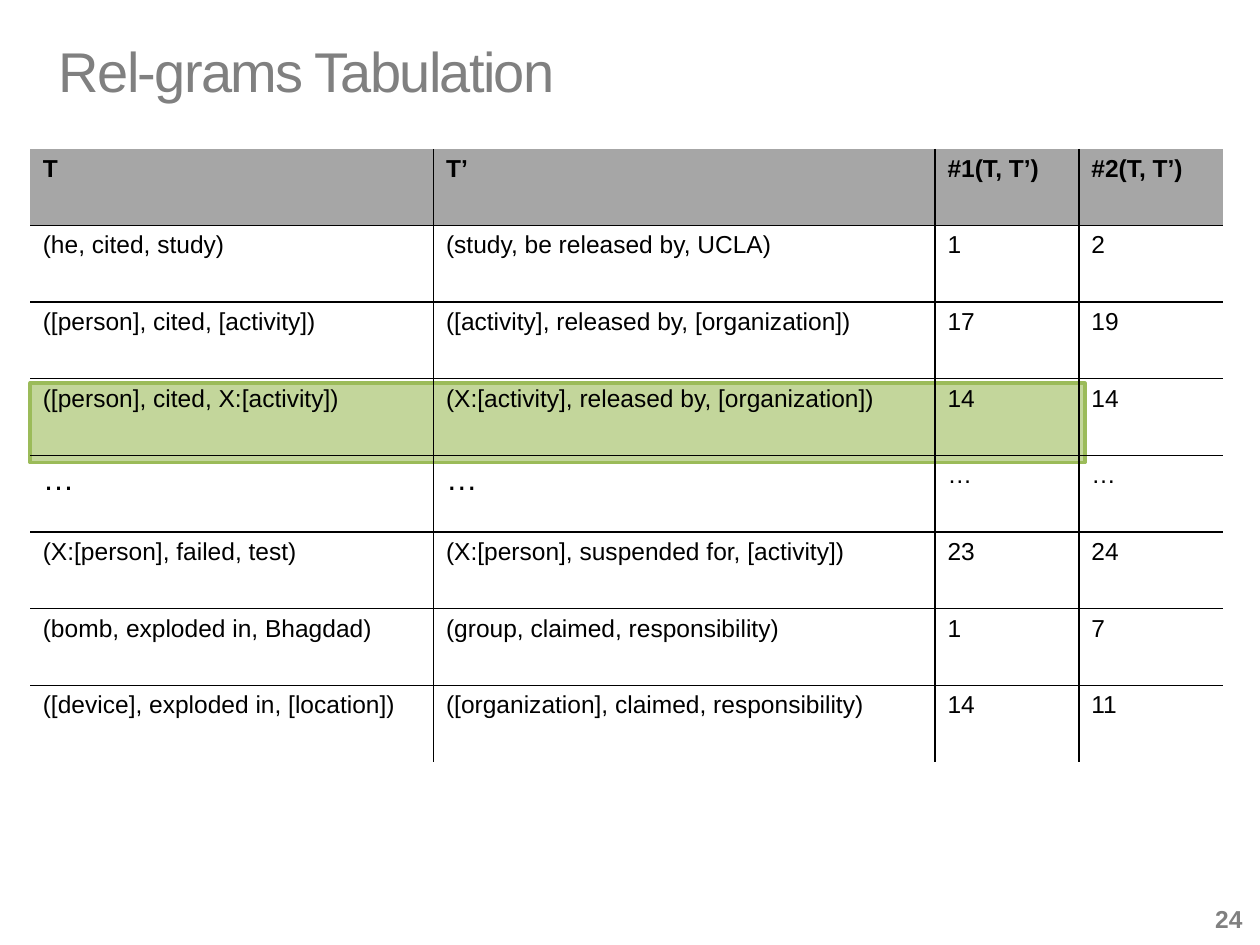
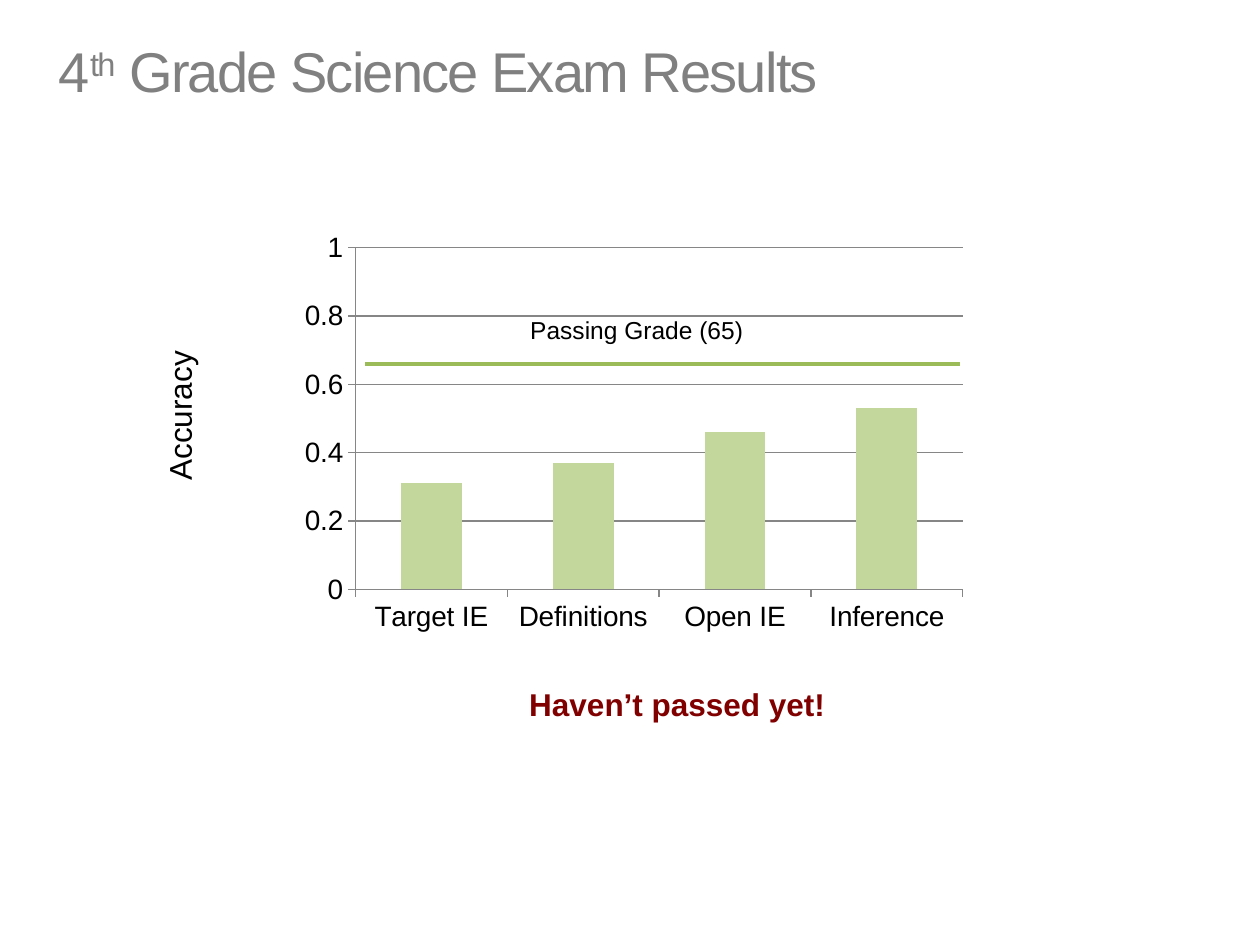
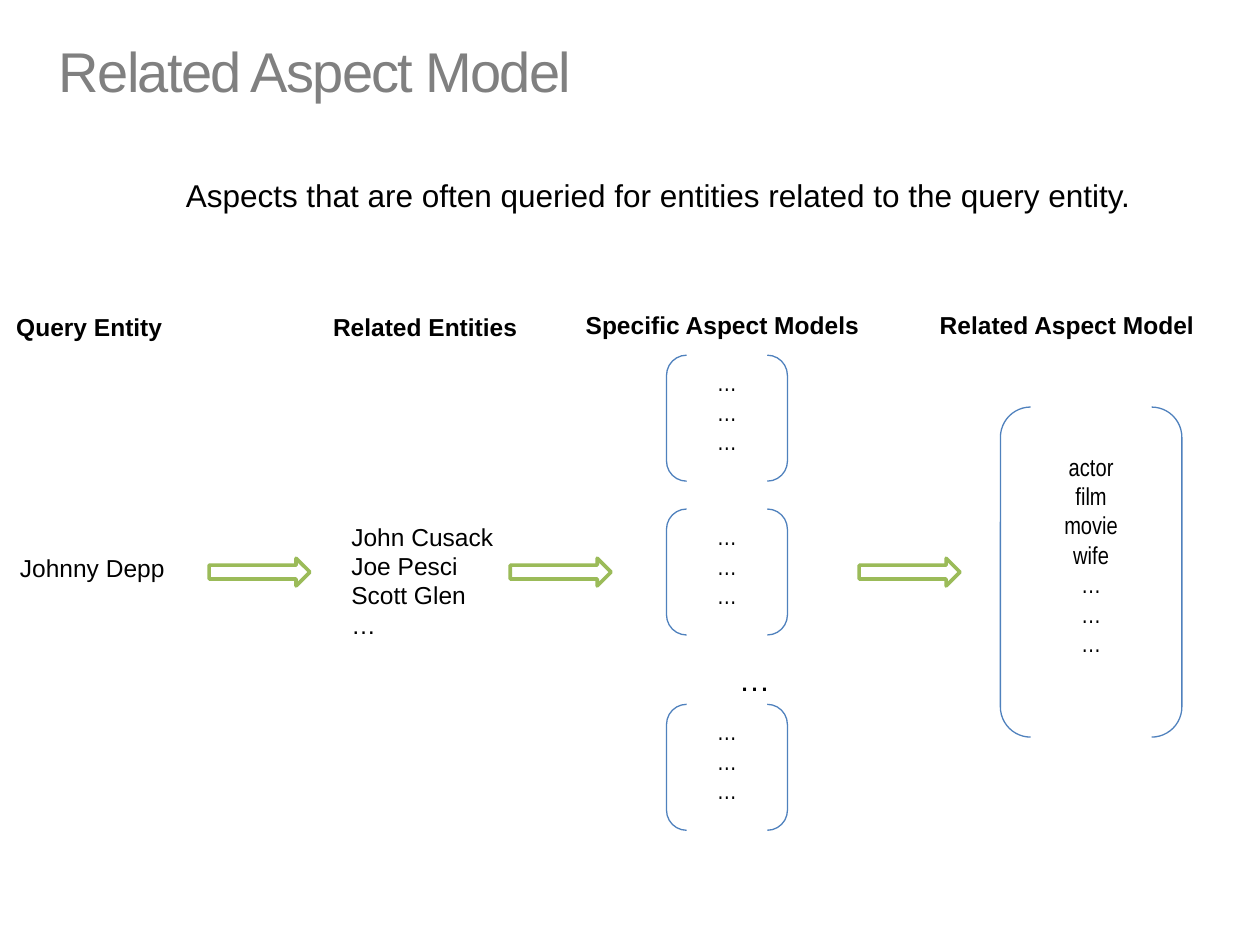
from dataclasses import dataclass

from lxml import etree
from pptx import Presentation
from pptx import util as u
from pptx.chart import data as chart_data
from pptx.dml.color import RGBColor
from pptx.enum import chart as charts
from pptx.enum import shapes, text
from pptx.oxml import ns

Pt = u.Pt


@dataclass(frozen=True)
class Theme:
    font: str = "Arial"
    narrow_font: str = "Arial Narrow"
    black: str = "000000"
    white: str = "FFFFFF"
    grey: str = "808080"
    axis_grey: str = "868686"
    header_grey: str = "A6A6A6"
    green: str = "9BBB59"
    light_green: str = "C3D69B"
    blue: str = "4F81BD"
    red: str = "800000"
    title_size: float = 32
    large: float = 18
    axis_size: float = 16
    body: float = 14
    thick: float = 2.08
    thin: float = 0.75
    cell_line: float = 1


THEME = Theme()
LEFT, CENTER, RIGHT = text.PP_ALIGN.LEFT, text.PP_ALIGN.CENTER, text.PP_ALIGN.RIGHT
NO_GRID_STYLE = "{2D5ABB26-0587-4C30-8999-92F81FD0307C}"

TABULATION = [
    ("T", "T’", "#1(T, T’)", "#2(T, T’)"),
    ("(he, cited, study)", "(study, be released by, UCLA)", "1", "2"),
    ("([person], cited, [activity])",
     "([activity], released by, [organization])", "17", "19"),
    ("([person], cited, X:[activity])",
     "(X:[activity], released by, [organization])", "14", "14"),
    ("…", "…", "…", "…"),
    ("(X:[person], failed, test)",
     "(X:[person], suspended for, [activity])", "23", "24"),
    ("(bomb, exploded in, Bhagdad)", "(group, claimed, responsibility)", "1", "7"),
    ("([device], exploded in, [location])",
     "([organization], claimed, responsibility)", "14", "11"),
]


def rgb(color):
    return RGBColor.from_string(color)


# Text
def style_font(font, size, color=THEME.black, bold=False, name=THEME.font):
    font.name, font.size, font.bold = name, Pt(size), bold
    font.color.rgb = rgb(color)


def style_text(text_frame, size, align=LEFT, **style):
    for paragraph in text_frame.paragraphs:
        paragraph.alignment = align
        for run in paragraph.runs:
            style_font(run.font, size, **style)


def add_text(slide, box, words, size=THEME.body, align=LEFT,
             anchor=text.MSO_ANCHOR.TOP, **style):
    shape = slide.shapes.add_textbox(*map(Pt, box))
    text_frame = shape.text_frame
    text_frame.word_wrap = True
    text_frame.vertical_anchor = anchor
    text_frame.text = words
    style_text(text_frame, size, align, **style)
    return shape


def add_title(slide, *parts):
    """Write the title; every second part is superscript."""
    shape = add_text(slide, (26.6, 1.4, 669.6, 77.8), "", anchor=text.MSO_ANCHOR.MIDDLE)
    paragraph = shape.text_frame.paragraphs[0]
    for index, part in enumerate(parts):
        run = paragraph.add_run()
        run.text = part
        style_font(run.font, THEME.title_size, THEME.grey)
        properties = run._r.get_or_add_rPr()
        properties.set("spc", "-100")
        if index % 2:
            properties.set("baseline", "30000")


# Shapes and lines
def add_shape(slide, kind, box, line, width, fill=None):
    shape = slide.shapes.add_shape(kind, *map(Pt, box))
    shape.shadow.inherit = False
    if fill:
        shape.fill.solid()
        shape.fill.fore_color.rgb = rgb(fill)
    else:
        shape.fill.background()
    shape.line.color.rgb = rgb(line)
    shape.line.width = Pt(width)
    return shape


def add_brackets(slide, box, lines, margin_top=3.6):
    shape = add_shape(slide, shapes.MSO_SHAPE.DOUBLE_BRACKET, box, THEME.blue, THEME.thin)
    text_frame = shape.text_frame
    text_frame.vertical_anchor = text.MSO_ANCHOR.TOP
    text_frame.margin_top = Pt(margin_top)
    text_frame.text = "\n".join(lines)
    style_text(text_frame, THEME.body, CENTER, name=THEME.narrow_font)


def add_line(slide, left, right, y):
    line = slide.shapes.add_connector(
        shapes.MSO_CONNECTOR.STRAIGHT, Pt(left), Pt(y), Pt(right), Pt(y))
    line.line.color.rgb = rgb(THEME.green)
    line.line.width = Pt(THEME.thick)
    etree.SubElement(line._element.spPr, ns.qn("a:effectLst"))


# Table
def set_borders(cell, sides):
    properties = cell._tc.get_or_add_tcPr()
    for position, side in enumerate(sides):
        border = etree.Element(ns.qn(f"a:ln{side}"), w=str(Pt(THEME.cell_line)))
        fill = etree.SubElement(border, ns.qn("a:solidFill"))
        etree.SubElement(fill, ns.qn("a:srgbClr"), val=THEME.black)
        properties.insert(position, border)


def add_grid_table(slide, left, top, widths, row_height, rows):
    """Add a table with inner rules only and a grey header row."""
    frame = slide.shapes.add_table(
        len(rows), len(widths), Pt(left), Pt(top), Pt(sum(widths)),
        Pt(row_height * len(rows)))
    table = frame.table
    table.first_row = table.horz_banding = False
    table._tbl.tblPr.find(ns.qn("a:tableStyleId")).text = NO_GRID_STYLE
    for column, width in zip(table.columns, widths):
        column.width = Pt(width)
    for row_index, values in enumerate(rows):
        table.rows[row_index].height = Pt(row_height)
        header = row_index == 0
        for column_index, value in enumerate(values):
            cell = table.cell(row_index, column_index)
            cell.text = value
            wide_dots = value == "…" and column_index < 2
            style_text(cell.text_frame, THEME.large if wide_dots else THEME.body,
                       bold=header)
            if header:
                cell.fill.solid()
                cell.fill.fore_color.rgb = rgb(THEME.header_grey)
            else:
                cell.fill.background()
            inner = {"L": column_index > 0, "R": column_index < len(widths) - 1,
                     "T": not header, "B": row_index < len(rows) - 1}
            set_borders(cell, [side for side, shown in inner.items() if shown])


# Chart
def add_column_chart(slide, box, scores):
    data = chart_data.CategoryChartData()
    data.categories = list(scores)
    data.add_series("Series 1", list(scores.values()))
    chart = slide.shapes.add_chart(
        charts.XL_CHART_TYPE.COLUMN_CLUSTERED, *map(Pt, box), data).chart
    chart.has_legend = chart.has_title = False
    style_font(chart.font, THEME.axis_size)

    plot = chart.plots[0]
    plot.gap_width = 150
    plot.vary_by_categories = False
    bars = plot.series[0].format.fill
    bars.solid()
    bars.fore_color.rgb = rgb(THEME.light_green)

    value_axis = chart.value_axis
    value_axis.minimum_scale, value_axis.maximum_scale = 0, 1
    value_axis.major_unit = 0.2
    value_axis.has_major_gridlines = True
    for axis in (chart.category_axis, value_axis):
        axis.major_tick_mark = charts.XL_TICK_MARK.OUTSIDE
        style_font(axis.tick_labels.font, THEME.axis_size)
    for ruled in (chart.category_axis, value_axis, value_axis.major_gridlines):
        ruled.format.line.color.rgb = rgb(THEME.axis_grey)
        ruled.format.line.width = Pt(THEME.thin)


# Slides
def build_tabulation(slide):
    add_shape(slide, shapes.MSO_SHAPE.RECTANGLE, (17.3, 218.9, 602.6, 45.4),
              THEME.green, THEME.thick, THEME.light_green)
    add_grid_table(slide, 17.3, 85, (230.4, 286.6, 82.2, 82.2), 43.8, TABULATION)
    add_text(slide, (674.6, 511.9, 42.5, 25.9), "24", align=RIGHT,
             anchor=text.MSO_ANCHOR.MIDDLE, color=THEME.grey, bold=True)
    add_title(slide, "Rel-grams Tabulation")


def build_exam_results(slide):
    add_column_chart(slide, (166.3, 128.2, 391.7, 237.6), {
        "Target IE": 0.31, "Definitions": 0.37, "Open IE": 0.46, "Inference": 0.53})
    add_title(slide, "4", "th", " Grade Science Exam Results")
    axis_label = add_text(slide, (37.4, 223.2, 130.3, 28.8), "Accuracy",
                          THEME.large, CENTER)
    axis_label.rotation = 270
    add_line(slide, 208.8, 548.6, 208.1)
    add_text(slide, (295.9, 176.4, 140.4, 31.7), "Passing Grade (65)")
    add_text(slide, (159.8, 388.1, 454.3, 28.8), "Haven’t passed yet!",
             THEME.large, CENTER, color=THEME.red, bold=True)


def build_aspect_model(slide):
    add_title(slide, "Related Aspect Model")
    add_text(slide, (55.4, 97.2, 641.5, 28.8),
             "Aspects that are often queried for entities related to the query entity.",
             THEME.large, CENTER)

    # Column headings
    for heading, left, top, width, align in (
            ("Query Entity", 2.2, 175, 177.8, LEFT),
            ("Related Entities", 154.1, 175, 177.8, CENTER),
            ("Specific Aspect Models", 327.6, 173.5, 187, LEFT),
            ("Related Aspect Model", 529.9, 173.5, 187, LEFT)):
        add_text(slide, (left, top, width, 24.5), heading, align=align, bold=True)

    # Entities
    add_text(slide, (4.3, 312.5, 175.7, 24.5), "Johnny Depp")
    add_text(slide, (193.7, 294.5, 108, 74.9), "John Cusack\nJoe Pesci\nScott Glen\n…")

    # Aspect models
    for top in (203, 290.9, 402.5):
        add_brackets(slide, (380.9, top, 69.1, 72), ["…"] * 3)
    add_text(slide, (396.7, 373.7, 69.1, 28.8), "…", THEME.large, CENTER)
    add_brackets(slide, (571.7, 232.6, 103.7, 188.6),
                 ["actor", "film", "movie", "wife"] + ["…"] * 3, margin_top=20.4)

    # Flow arrows
    for left in (119.5, 291.6, 491):
        add_shape(slide, shapes.MSO_SHAPE.RIGHT_ARROW, (left, 319, 57.6, 15.8),
                  THEME.green, THEME.thick, THEME.white)


def main():
    presentation = Presentation()
    presentation.slide_width, presentation.slide_height = Pt(720), Pt(540)
    blank = presentation.slide_layouts[6]
    for build in (build_tabulation, build_exam_results, build_aspect_model):
        build(presentation.slides.add_slide(blank))
    presentation.save("out.pptx")


if __name__ == "__main__":
    main()
